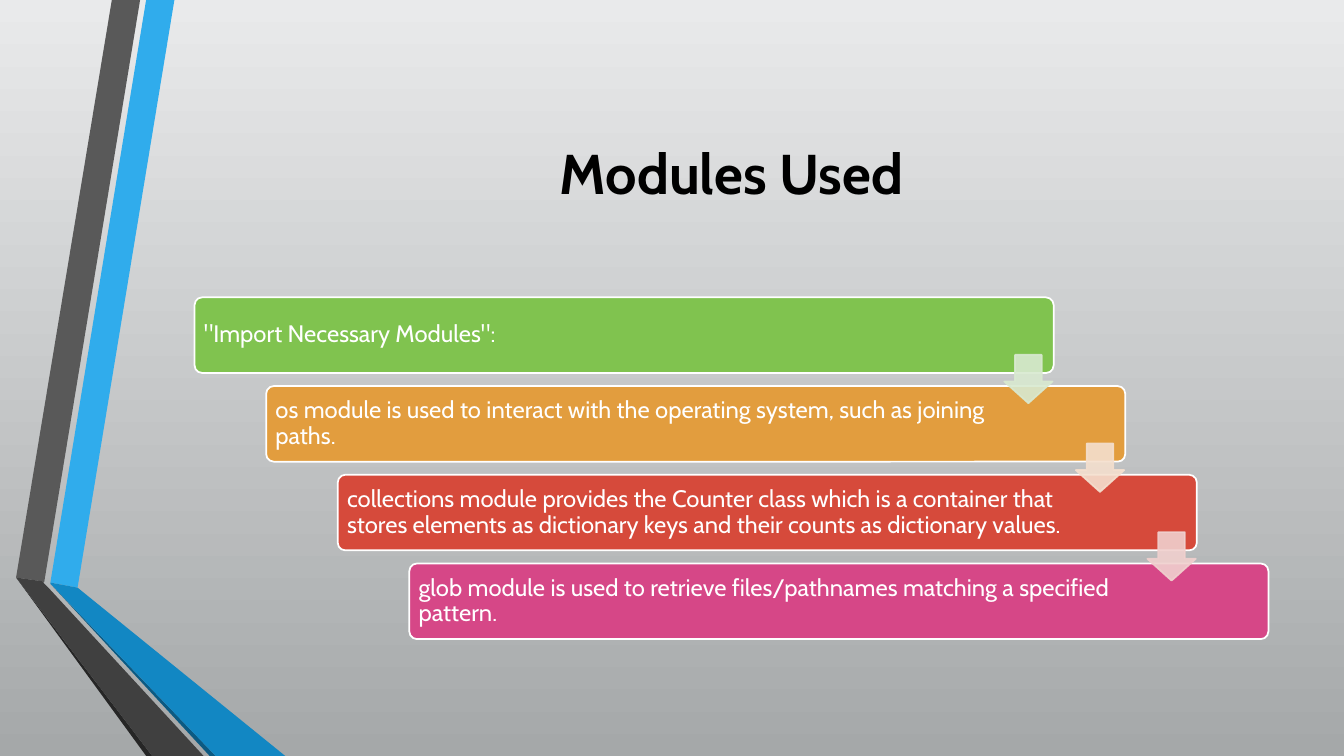
from lxml import etree
from pptx import Presentation
from pptx.dml.color import RGBColor
from pptx.enum.shapes import MSO_SHAPE
from pptx.enum.text import MSO_ANCHOR, PP_ALIGN
from pptx.oxml.ns import qn
from pptx.util import Pt

PX = 9144  # EMU per px, 100 px to the inch
FONT = "Cabin"
ROUNDED, DOWN_ARROW = MSO_SHAPE.ROUNDED_RECTANGLE, MSO_SHAPE.DOWN_ARROW
MIDDLE = MSO_ANCHOR.MIDDLE
LEFT, CENTER = PP_ALIGN.LEFT, PP_ALIGN.CENTER

RIBBON = [
    ("30ACEC", [(50, 578), (77, 583), (173, 0), (145, 0)]),
    ("595959", [(139, 0), (111, 0), (16, 573), (44, 577)]),
    ("262626", [(16, 573), (145, 750), (151, 750)]),
    ("0C5A82", [(50, 579), (208, 750), (214, 750)]),
    ("1287C3", [(50, 579), (214, 750), (283, 750), (77, 583), (50, 578)]),
    ("404040", [(202, 750), (48, 583), (43, 578), (44, 577), (16, 573), (151, 750)]),
]

# text, fill, right inset
STEPS = [
    ('"Import Necessary Modules":', "80C34F", 89),
    ("os module is used to interact with the operating system, "
     "such as joining paths.", "E29D3E", 127),
    ("collections module provides the Counter class which is a container that "
     "stores elements as dictionary keys and their counts as dictionary values.",
     "D64A3B", 127),
    ("glob module is used to retrieve files/pathnames matching a specified "
     "pattern.", "D64787", 127),
]
ARROW_COLORS = ["D8E9D0", "F4DFCE", "F0D0CE"]

FIRST_LEFT, FIRST_TOP = 193, 295
STEP_WIDTH, STEP_HEIGHT = 852, 75
SHIFT_X, SHIFT_Y = 71, 88
ARROW_SIZE = 48


def px(*lengths):
    return [length * PX for length in lengths]


def color(hex_code):
    return RGBColor.from_string(hex_code)


def set_text(shape, text, size, hex_code="FFFFFF", bold=False, align=LEFT,
             line_spacing=None, insets=None):
    """Fill a shape with one paragraph; insets are left, top, right, bottom."""
    frame = shape.text_frame
    frame.word_wrap = True
    frame.vertical_anchor = MIDDLE
    if insets:
        (frame.margin_left, frame.margin_top,
         frame.margin_right, frame.margin_bottom) = px(*insets)
    paragraph = frame.paragraphs[0]
    paragraph.alignment = align
    paragraph.line_spacing = line_spacing
    run = paragraph.add_run()
    run.text = text
    run.font.name = FONT
    run.font.size = Pt(size)
    run.font.bold = bold
    run.font.color.rgb = color(hex_code)


def add_preset(slide, kind, box, adjustments, fill, line):
    shape = slide.shapes.add_shape(kind, *px(*box))
    shape.shadow.inherit = False
    for index, value in enumerate(adjustments):
        shape.adjustments[index] = value
    shape.fill.solid()
    shape.fill.fore_color.rgb = color(fill)
    shape.line.color.rgb = color(line)
    shape.line.width = Pt(1.25)
    return shape


def set_opacity(shape, percent):
    """Apply one opacity to both the fill and the line."""
    for rgb in shape._element.spPr.iter(qn("a:srgbClr")):
        etree.SubElement(rgb, qn("a:alpha")).set("val", str(percent * 1000))


def add_polygon(slide, fill, points):
    builder = slide.shapes.build_freeform(*points[0], scale=PX)
    builder.add_line_segments(points[1:], close=True)
    polygon = builder.convert_to_shape()
    polygon.shadow.inherit = False
    polygon.fill.solid()
    polygon.fill.fore_color.rgb = color(fill)
    polygon.line.fill.background()


def set_background(slide, top, bottom):
    fill = slide.background.fill
    fill.gradient()
    fill.gradient_angle = 270
    for stop, hex_code in zip(fill.gradient_stops, (top, bottom)):
        stop.color.rgb = color(hex_code)


def add_step(slide, index, text, fill, right_inset):
    box = (FIRST_LEFT + index * SHIFT_X, FIRST_TOP + index * SHIFT_Y,
           STEP_WIDTH, STEP_HEIGHT)
    step = add_preset(slide, ROUNDED, box, [0.1], fill, "FFFFFF")
    set_text(step, text, 17, line_spacing=0.9, insets=(7, 7, right_inset, 7))


def add_step_arrow(slide, index, fill):
    """Link a step to the next one at its lower right corner."""
    left = FIRST_LEFT + STEP_WIDTH - ARROW_SIZE - 1 + index * SHIFT_X
    top = FIRST_TOP + 57 + index * SHIFT_Y
    arrow = add_preset(slide, DOWN_ARROW, (left, top, ARROW_SIZE, ARROW_SIZE),
                       [0.55, 0.45], fill, fill)
    set_opacity(arrow, 90)


def main():
    deck = Presentation()
    deck.slide_width, deck.slide_height = px(1333, 750)
    slide = deck.slides.add_slide(deck.slide_layouts[6])
    set_background(slide, "E9EAEB", "A5A8A9")
    for fill, points in RIBBON:
        add_polygon(slide, fill, points)

    title = slide.shapes.add_textbox(*px(193, 75, 1065, 192))
    set_text(title, "Modules Used", 40, hex_code="000000", bold=True, align=CENTER)

    for index, step in enumerate(STEPS):
        add_step(slide, index, *step)
    for index, fill in enumerate(ARROW_COLORS):
        add_step_arrow(slide, index, fill)
    deck.save("out.pptx")


if __name__ == "__main__":
    main()
